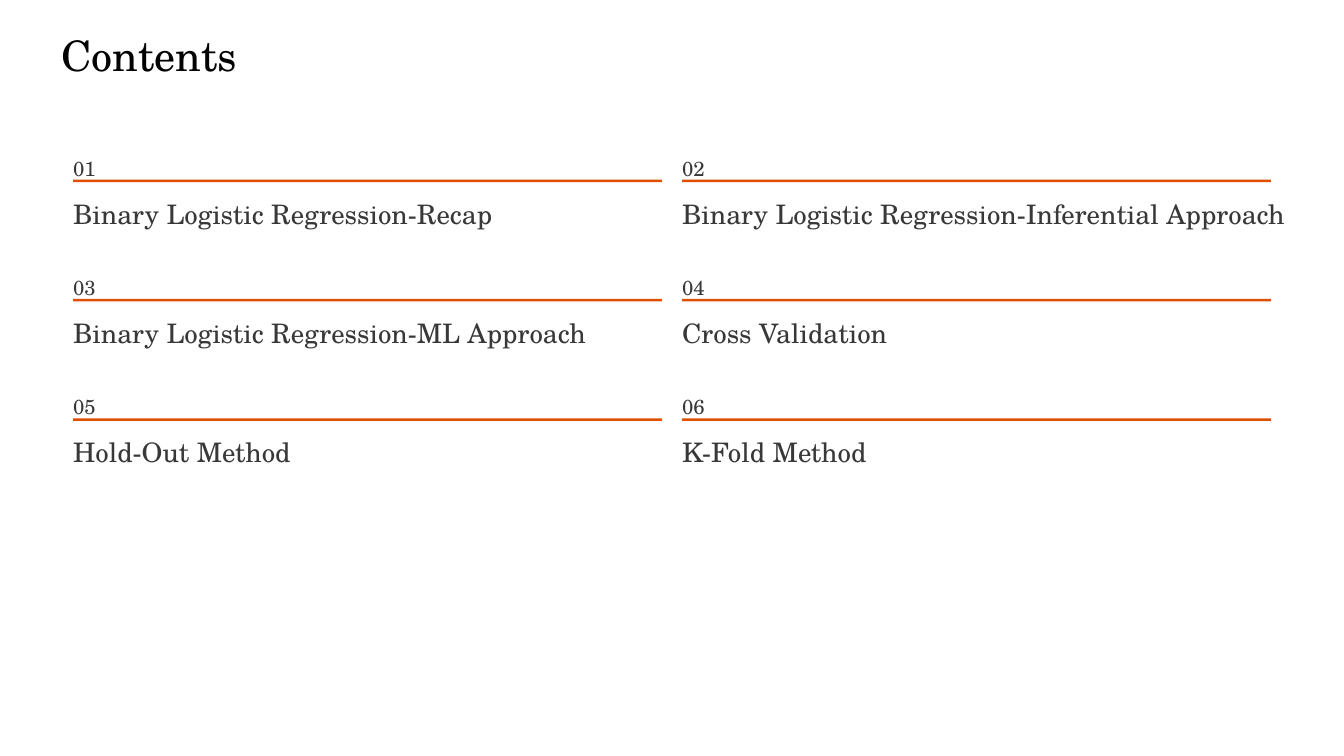
from pptx import Presentation, util as u
from pptx.dml.color import RGBColor
from pptx.enum import shapes, text

FONT = "TeX Gyre Schola"
INK, TITLE_INK, ACCENT = "383838", "020202", "E04F00"

prs = Presentation()
prs.slide_width, prs.slide_height = u.Inches(16), u.Inches(9)
s = prs.slides.add_slide(prs.slide_layouts[6])


def paint(color_format, value):
    color_format.rgb = RGBColor.from_string(value)


def add_text(words, x, y, w, h, size, color, spacing=None):
    tf = s.shapes.add_textbox(*map(u.Inches, (x, y, w, h))).text_frame
    frame = dict(margin_left=0, margin_right=0, margin_top=0, margin_bottom=0,
                 word_wrap=True, vertical_anchor=text.MSO_ANCHOR.TOP)
    for name, value in frame.items():
        setattr(tf, name, value)
    p = tf.paragraphs[0]
    if spacing:
        p.line_spacing = u.Pt(spacing)
    r = p.add_run()
    r.text = words
    for name, value in dict(name=FONT, size=u.Pt(size)).items():
        setattr(r.font, name, value)
    paint(r.font.color, color)


# Title
add_text("Contents", 0.73, 0.35, 14.93, 1.23, 36, TITLE_INK)

# Numbered topics in two columns
topics = [
    "Binary Logistic Regression-Recap",
    "Binary Logistic Regression-Inferential Approach",
    "Binary Logistic Regression-ML Approach",
    "Cross Validation",
    "Hold-Out Method",
    "K-Fold Method",
]
LEFT, TOP = 0.87, 1.75
COL_STEP, ROW_STEP = 7.25, 1.42
RULE_WIDTH = 7.01

for i, topic in enumerate(topics):
    row, col = divmod(i, 2)
    x, y = LEFT + col * COL_STEP, TOP + row * ROW_STEP
    add_text(f"{i + 1:02}", x, y, 0.5, 0.31, 17.5, INK, 28.5)

    rule = s.shapes.add_shape(shapes.MSO_SHAPE.RECTANGLE, *map(
        u.Inches, (x, y + 0.39, RULE_WIDTH, 0.03)))
    rule.shadow.inherit = False
    rule.fill.solid()
    paint(rule.fill.fore_color, ACCENT)
    rule.line.fill.background()

    add_text(topic, x, y + 0.58, COL_STEP, 0.41, 23, INK, 29)

prs.save("out.pptx")
